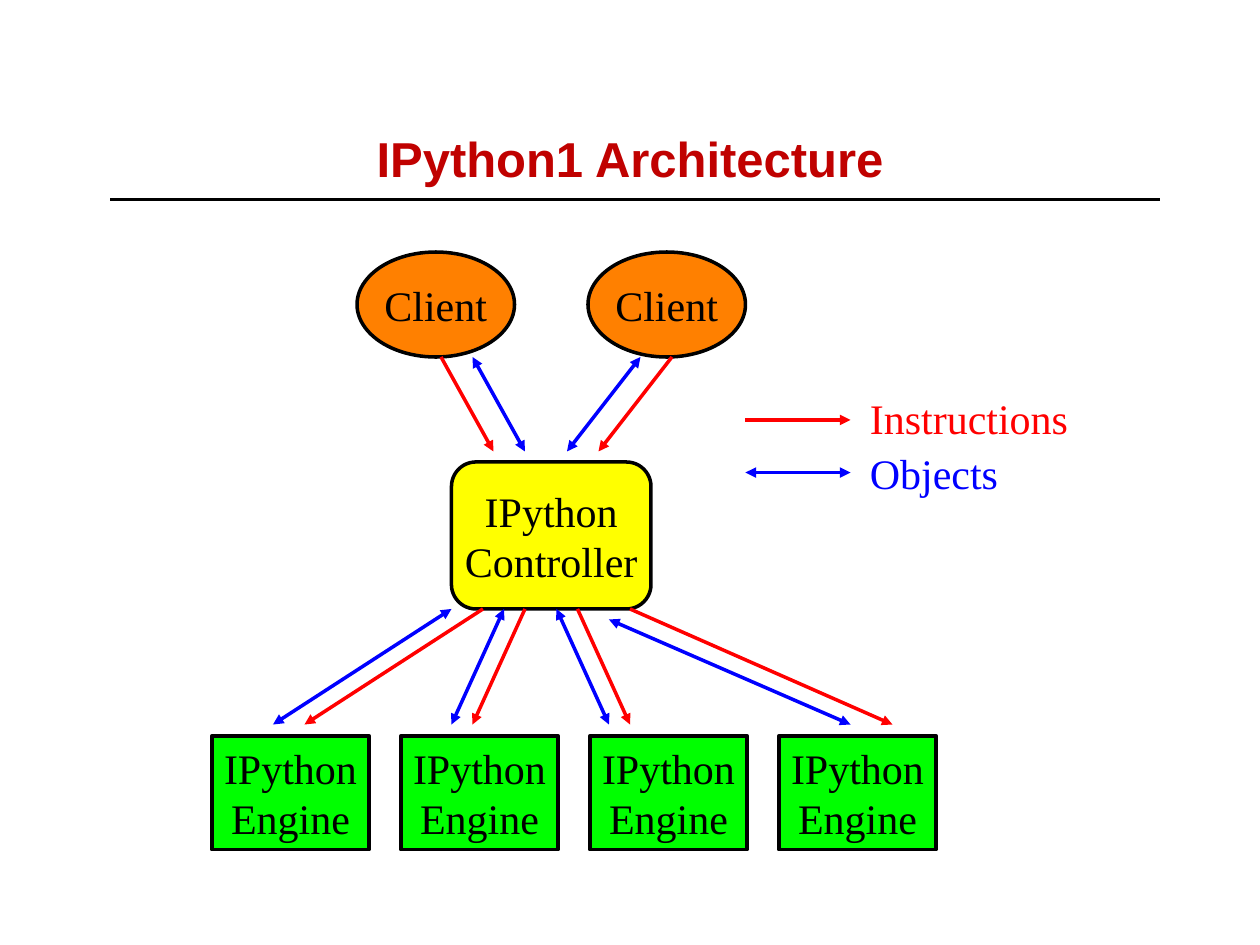
from dataclasses import dataclass

from lxml import etree
from pptx import Presentation
from pptx.dml.color import RGBColor
from pptx.enum.shapes import MSO_CONNECTOR, MSO_SHAPE
from pptx.enum.text import MSO_ANCHOR, PP_ALIGN
from pptx.oxml.ns import qn
from pptx.util import Pt

STRAIGHT = MSO_CONNECTOR.STRAIGHT
RECTANGLE = MSO_SHAPE.RECTANGLE
ROUNDED = MSO_SHAPE.ROUNDED_RECTANGLE
OVAL = MSO_SHAPE.OVAL
MIDDLE = MSO_ANCHOR.MIDDLE
LEFT, CENTER = PP_ALIGN.LEFT, PP_ALIGN.CENTER


@dataclass(frozen=True)
class Theme:
    title_font: str = "Arial"
    body_font: str = "Times New Roman"
    title_size: int = 28
    body_size: int = 24
    line_width: int = 2
    title: str = "C00100"
    ink: str = "000000"
    client: str = "FF8000"
    controller: str = "FFFF00"
    engine: str = "00FF00"
    instruction: str = "FF0000"
    object: str = "0000FF"


class Diagram:
    def __init__(self, slide, theme):
        self.slide = slide
        self.theme = theme

    def set_text(self, text_frame, text, color, align):
        text_frame.text = text
        text_frame.word_wrap = False
        text_frame.vertical_anchor = MIDDLE
        for paragraph in text_frame.paragraphs:
            paragraph.alignment = align
            for run in paragraph.runs:
                run.font.name = self.theme.body_font
                run.font.size = Pt(self.theme.body_size)
                run.font.color.rgb = RGBColor.from_string(color)

    def title(self, text, left, top, width, height):
        title = self.slide.shapes.title
        title.left, title.top = Pt(left), Pt(top)
        title.width, title.height = Pt(width), Pt(height)
        title.text_frame.text = text
        title.text_frame.vertical_anchor = MIDDLE
        paragraph = title.text_frame.paragraphs[0]
        paragraph.alignment = CENTER
        font = paragraph.runs[0].font
        font.name = self.theme.title_font
        font.size = Pt(self.theme.title_size)
        font.bold = True
        font.color.rgb = RGBColor.from_string(self.theme.title)

    def node(self, kind, text, left, top, width, height, fill):
        shape = self.slide.shapes.add_shape(
            kind, Pt(left), Pt(top), Pt(width), Pt(height))
        shape.shadow.inherit = False
        shape.fill.solid()
        shape.fill.fore_color.rgb = RGBColor.from_string(fill)
        shape.line.color.rgb = RGBColor.from_string(self.theme.ink)
        shape.line.width = Pt(self.theme.line_width)
        self.set_text(shape.text_frame, text, self.theme.ink, CENTER)

    def label(self, text, left, top, width, height, color):
        box = self.slide.shapes.add_textbox(
            Pt(left), Pt(top), Pt(width), Pt(height))
        self.set_text(box.text_frame, text, color, LEFT)

    def line(self, start, end, color, arrowheads=()):
        """Draw a line; arrowheads may hold "headEnd" (start) and "tailEnd" (end)."""
        connector = self.slide.shapes.add_connector(
            STRAIGHT, *(Pt(length) for length in (*start, *end)))
        connector.line.color.rgb = RGBColor.from_string(color)
        connector.line.width = Pt(self.theme.line_width)
        properties = connector._element.spPr
        outline = properties.find(qn("a:ln"))
        for arrowhead in arrowheads:
            etree.SubElement(outline, qn(f"a:{arrowhead}"), type="triangle")
        etree.SubElement(properties, qn("a:effectLst"))

    def instruction_arrow(self, start, end):
        self.line(start, end, self.theme.instruction, ("tailEnd",))

    def object_arrow(self, start, end):
        self.line(start, end, self.theme.object, ("headEnd", "tailEnd"))


def main():
    presentation = Presentation()
    presentation.slide_width, presentation.slide_height = Pt(720), Pt(540)
    slide = presentation.slides.add_slide(presentation.slide_layouts[5])
    theme = Theme()
    diagram = Diagram(slide, theme)

    diagram.line((63, 114), (663, 114), theme.ink)
    diagram.title("IPython1 Architecture", 54, 42, 612, 96)

    for index in range(4):
        diagram.node(RECTANGLE, "IPython\nEngine",
                     121 + 108 * index, 420.5, 90, 65, theme.engine)
    diagram.node(ROUNDED, "IPython\nController", 258, 264, 114, 84, theme.controller)
    for left in (204, 336):
        diagram.node(OVAL, "Client", left, 144, 90, 60, theme.client)

    client_bottom, controller_above = 204, 258
    controller_bottom, engine_above = 348, 414

    # Horizontal start and end of each arrow
    for start, end in ((252, 282), (384, 342)):
        diagram.instruction_arrow((start, client_bottom), (end, controller_above))
    for start, end in ((276, 174), (300, 270), (330, 360), (360, 510)):
        diagram.instruction_arrow((start, controller_bottom), (end, engine_above))
    for start, end in ((270, 300), (366, 324)):
        diagram.object_arrow((start, client_bottom), (end, controller_above))
    for start, end in ((258, 156), (288, 258), (318, 348)):
        diagram.object_arrow((start, controller_bottom), (end, engine_above))
    diagram.object_arrow((348, controller_bottom + 6), (486, engine_above))

    diagram.instruction_arrow((426, 240), (486, 240))
    diagram.label("Instructions", 490, 220.5, 128, 36, theme.instruction)
    diagram.object_arrow((426, 270), (486, 270))
    diagram.label("Objects", 490, 252, 88, 36, theme.object)

    presentation.save("out.pptx")


if __name__ == "__main__":
    main()
